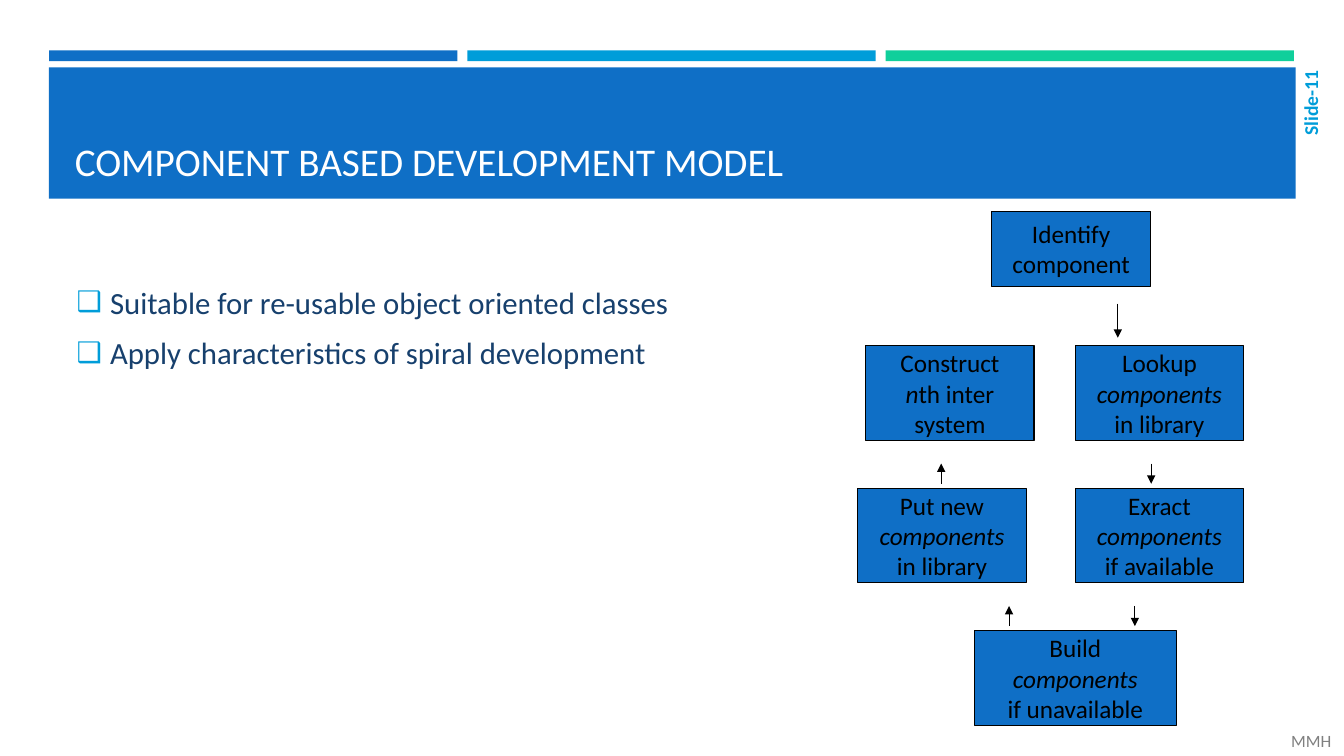
"""Build the slide on the component based development model."""
import lxml.etree
import pptx
import pptx.dml.color
import pptx.enum.shapes
import pptx.enum.text
import pptx.oxml.ns
import pptx.util

Cm = pptx.util.Cm
Pt = pptx.util.Pt
RGBColor = pptx.dml.color.RGBColor
ALIGN = pptx.enum.text.PP_ALIGN
ANCHOR = pptx.enum.text.MSO_ANCHOR
qn = pptx.oxml.ns.qn

BLUE = RGBColor(0x0F, 0x6F, 0xC6)
CYAN = RGBColor(0x00, 0x9D, 0xD9)
GREEN = RGBColor(0x10, 0xCF, 0x9B)
NAVY = RGBColor(0x17, 0x40, 0x6D)
GREY = RGBColor(0x80, 0x80, 0x80)
WHITE = RGBColor(0xFF, 0xFF, 0xFF)
BLACK = RGBColor(0x00, 0x00, 0x00)

ROW_TOP, ROW_STEP = 8.71, 3.59
ROWS = [ROW_TOP + ROW_STEP * row for row in range(3)]
BOX_WIDTH, BOX_HEIGHT = 4.24, 2.39

BOXES = [
    (24.99, 5.33, 4.01, 1.88, ["Identify", "component"]),
    (21.82, ROWS[0], BOX_WIDTH, BOX_HEIGHT, ["Construct", "*n*th inter", "system"]),
    (27.1, ROWS[0], BOX_WIDTH, BOX_HEIGHT, ["Lookup", "*components*", "in library"]),
    (21.62, ROWS[1], BOX_WIDTH, BOX_HEIGHT, ["Put new", "*components*", "in library"]),
    (27.1, ROWS[1], BOX_WIDTH, BOX_HEIGHT, ["Exract", "*components*", "if available"]),
    (24.56, ROWS[2], 5.08, BOX_HEIGHT, ["Build", "*components*", "if unavailable"]),
]
ARROWS = [
    (28.17, 7.65, 8.51),
    (29.01, 11.68, 12.19),
    (28.6, 15.27, 15.78),
    (25.43, 15.78, 15.27),
    (23.72, 12.19, 11.68),
]


def style(para, size, color, align=ALIGN.LEFT):
    """Set the font and alignment of a paragraph."""
    para.alignment = align
    para.font.name = "Calibri"
    para.font.size = Pt(size)
    para.font.color.rgb = color


def place(shape, left, top, width, height):
    """Move a shape to the front and set its bounds."""
    shape.left, shape.top = Cm(left), Cm(top)
    shape.width, shape.height = Cm(width), Cm(height)
    shape.element.getparent().append(shape.element)


def add_block(slide, left, top, width, height, fill):
    """Add a plain filled rectangle."""
    block = slide.shapes.add_shape(
        pptx.enum.shapes.MSO_SHAPE.RECTANGLE,
        Cm(left), Cm(top), Cm(width), Cm(height))
    block.shadow.inherit = False
    block.fill.solid()
    block.fill.fore_color.rgb = fill
    block.line.fill.background()
    return block


def add_box(slide, left, top, width, height, lines):
    """Add a step box, with text between asterisks in italics."""
    box = add_block(slide, left, top, width, height, BLUE)
    box.line.color.rgb = BLACK
    box.line.width = Pt(0.75)
    frame = box.text_frame
    frame.word_wrap = False
    frame.vertical_anchor = ANCHOR.MIDDLE
    for index, line in enumerate(lines):
        para = frame.add_paragraph() if index else frame.paragraphs[0]
        style(para, 18, BLACK, ALIGN.CENTER)
        for part, text in enumerate(line.split("*")):
            if text:
                run = para.add_run()
                run.text = text
                run.font.italic = part % 2 == 1


def add_arrow(slide, left, start, end):
    """Add an upright arrow from start to end."""
    arrow = slide.shapes.add_connector(
        pptx.enum.shapes.MSO_CONNECTOR.STRAIGHT,
        Cm(left), Cm(start), Cm(left), Cm(end))
    arrow.line.color.rgb = BLACK
    arrow.line.width = Pt(0.75)
    props = arrow.element.spPr
    lxml.etree.SubElement(props.find(qn("a:ln")), qn("a:tailEnd"), type="triangle")
    lxml.etree.SubElement(props, qn("a:effectLst"))


def add_bullet(para):
    """Give a paragraph a hanging square bullet."""
    props = para._p.get_or_add_pPr()
    props.set("marL", str(Cm(0.84)))
    props.set("indent", str(-Cm(0.84)))
    color = lxml.etree.SubElement(props, qn("a:buClr"))
    lxml.etree.SubElement(color, qn("a:srgbClr"), val=str(CYAN))
    lxml.etree.SubElement(props, qn("a:buSzPct"), val="92000")
    lxml.etree.SubElement(props, qn("a:buChar"), char="❑")


def add_label(slide, left, top, width, height, text):
    """Add a small text box and return its frame."""
    label = slide.shapes.add_textbox(Cm(left), Cm(top), Cm(width), Cm(height))
    frame = label.text_frame
    frame.word_wrap = True
    frame.vertical_anchor = ANCHOR.MIDDLE
    frame.text = text
    return frame


def fill_title(slide):
    """Write the title on the banner."""
    title = slide.shapes.title
    place(title, 1.63, 1.96, 30.63, 2.82)
    frame = title.text_frame
    frame.text = "COMPONENT BASED DEVELOPMENT MODEL"
    frame.auto_size = pptx.enum.text.MSO_AUTO_SIZE.NONE
    frame.vertical_anchor = ANCHOR.BOTTOM
    style(frame.paragraphs[0], 28, WHITE)


def fill_list(slide):
    """Write the list of traits."""
    body = slide.placeholders[1]
    place(body, 1.68, 6.43, 15.88, 3.63)
    frame = body.text_frame
    frame.text = ("Suitable for re-usable object oriented classes\n"
                  "Apply characteristics of spiral development")
    frame.auto_size = pptx.enum.text.MSO_AUTO_SIZE.NONE
    frame.vertical_anchor = ANCHOR.MIDDLE
    for para in frame.paragraphs:
        add_bullet(para)
        style(para, 22, NAVY)
        para.space_before = Pt(4)
        para.space_after = Pt(6)


def add_marks(slide):
    """Add the upright slide number and the corner initials."""
    number = add_label(slide, 32.69, 1.68, 0.66, 2.79, "Slide-11")
    number.margin_left = number.margin_right = Cm(0.1)
    number.margin_top = number.margin_bottom = Cm(0.1)
    number._txBody.bodyPr.set("vert", "vert270")
    style(number.paragraphs[0], 14, CYAN, ALIGN.RIGHT)
    number.paragraphs[0].font.bold = True

    corner = add_label(slide, 32.08, 18.29, 1.78, 0.76, "MMH")
    corner.margin_left, corner.margin_right = Cm(0.46), Cm(0)
    style(corner.paragraphs[0], 12.3, GREY)


def main():
    """Build and save the slide."""
    deck = pptx.Presentation()
    deck.slide_width, deck.slide_height = Cm(33.87), Cm(19.05)
    slide = deck.slides.add_slide(deck.slide_layouts[1])
    for index, color in enumerate((BLUE, CYAN, GREEN)):
        add_block(slide, 1.24 + 10.54 * index, 1.27, 10.29, 0.27, color)
    add_block(slide, 1.23, 1.7, 31.42, 3.31, BLUE)
    fill_title(slide)
    fill_list(slide)
    add_marks(slide)
    for box in BOXES:
        add_box(slide, *box)
    for arrow in ARROWS:
        add_arrow(slide, *arrow)
    deck.save("out.pptx")


if __name__ == "__main__":
    main()
